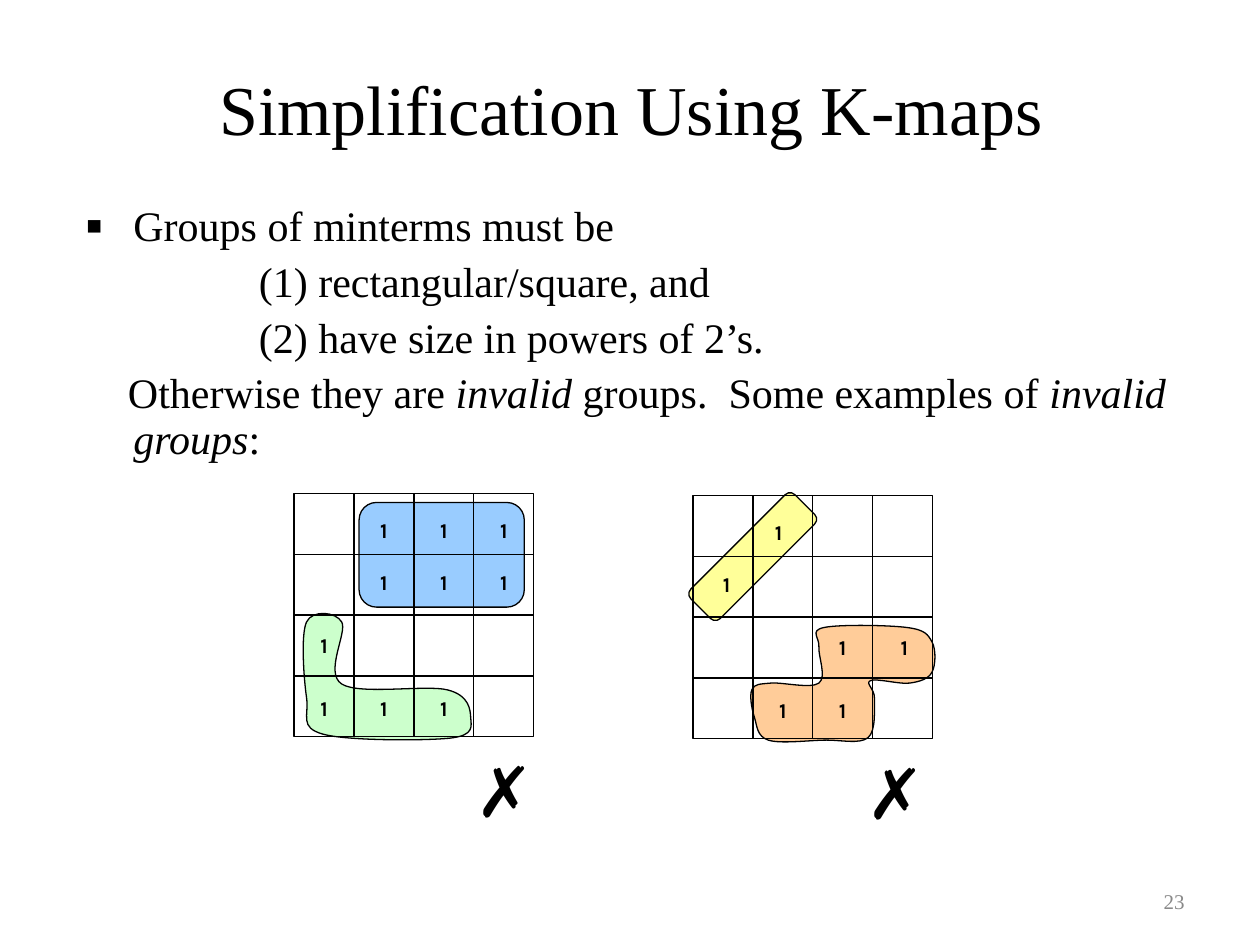
import dataclasses

import lxml.etree
import pptx
import pptx.dml.color
import pptx.enum.shapes
import pptx.enum.text
import pptx.oxml.ns
import pptx.util

Cm, Pt = pptx.util.Cm, pptx.util.Pt
RGB = pptx.dml.color.RGBColor.from_string
qn = pptx.oxml.ns.qn
ALIGN, ANCHOR = pptx.enum.text.PP_ALIGN, pptx.enum.text.MSO_ANCHOR
KINDS = pptx.enum.shapes.MSO_SHAPE


@dataclasses.dataclass(frozen=True)
class Theme:
    ink: str = "000000"
    muted: str = "898989"
    blue: str = "99CCFF"
    green: str = "CCFFCC"
    yellow: str = "FFFF99"
    orange: str = "FFCC99"
    serif: str = "Times New Roman"
    digit: str = "Karla"
    symbol: str = "Arial"
    title_size: float = 40
    body_size: float = 24
    small_size: float = 12
    outline: float = 0.75


THEME = Theme()

# K-map geometry in cm, relative to the top left corner of a map
MAP_WIDTH, MAP_HEIGHT, CELLS = 4.83, 4.9, 4
COLUMN, ROW = MAP_WIDTH / CELLS, MAP_HEIGHT / CELLS
DIGIT_TOPS = (0.35, 1.41, 2.68, 3.95)

# Anchor points of the curved groups
L_GROUP = [(3.15, 4.93), (0.58, 4.85), (0.25, 4.11), (0.25, 2.59),
           (0.96, 2.59), (0.96, 3.84), (3.1, 3.96), (3.56, 4.52)]
Z_GROUP = [(4.32, 2.66), (2.64, 2.66), (2.54, 3.05), (2.54, 3.78),
           (1.57, 3.78), (1.19, 3.91), (1.24, 4.47), (1.52, 4.93),
           (2.64, 4.93), (3.53, 4.88), (3.66, 4.09), (3.58, 3.73),
           (4.37, 3.78), (4.82, 3.56), (4.82, 2.95)]


def set_all(target, values):
    for name, value in values.items():
        setattr(target, name, value)


def add_text(slide, box, anchor=ANCHOR.TOP):
    frame = slide.shapes.add_textbox(*map(Cm, box)).text_frame
    set_all(frame, {"word_wrap": True, "vertical_anchor": anchor})
    return frame


def add_run(paragraph, text, size, face=THEME.serif, color=THEME.ink, **style):
    run = paragraph.add_run()
    run.text = text
    set_all(run.font, {"size": Pt(size), "name": face, **style})
    run.font.color.rgb = RGB(color)


def add_label(slide, box, text, size, align, anchor=ANCHOR.TOP, **style):
    paragraph = add_text(slide, box, anchor).paragraphs[0]
    paragraph.alignment = align
    add_run(paragraph, text, size, **style)


def set_indent(paragraph, margin, first, bullet=None):
    properties = paragraph._p.get_or_add_pPr()
    properties.set("marL", str(Cm(margin)))
    properties.set("indent", str(Cm(first)))
    if bullet:
        for tag, key, value in (("a:buSzPct", "val", "120000"),
                                ("a:buFont", "typeface", THEME.serif),
                                ("a:buChar", "char", bullet)):
            lxml.etree.SubElement(properties, qn(tag)).set(key, value)


def add_rules(slide):
    """Body text: margin, first-line indent, bullet, and (text, italic) runs."""
    rules = [
        (0.97, -0.97, "▪", [("Groups of minterms must be", False)]),
        (3.5, 0, None, [("(1) rectangular/square, and", False)]),
        (3.5, 0, None, [("(2) have size in powers of 2’s.", False)]),
        (0.97, -0.11, None, [("Otherwise they are ", False), ("invalid", True),
                             (" groups.  Some examples of ", False),
                             ("invalid groups", True), (":", False)]),
    ]
    frame = add_text(slide, (1.47, 4.01, 22.43, 5.92))
    for index, (margin, first, bullet, runs) in enumerate(rules):
        paragraph = frame.add_paragraph() if index else frame.paragraphs[0]
        set_indent(paragraph, margin, first, bullet)
        set_all(paragraph, {"line_spacing": 0.9,
                            "space_before": Pt(6 if index else 0)})
        for text, italic in runs:
            add_run(paragraph, text, THEME.body_size, italic=italic)


def finish(shape, fill=None):
    shape.shadow.inherit = False
    if fill:
        shape.fill.solid()
        shape.fill.fore_color.rgb = RGB(fill)
    else:
        shape.fill.background()
    shape.line.color.rgb = RGB(THEME.ink)
    shape.line.width = Pt(THEME.outline)


def add_box(slide, kind, box, fill=None, rotation=0):
    shape = slide.shapes.add_shape(kind, *map(Cm, box))
    shape.rotation = rotation
    finish(shape, fill)


def smooth_loop(anchors):
    """Two Bezier handles and an end point for each side of a closed curve."""
    points = []
    for i, start in enumerate(anchors):
        before, end, after = (anchors[(i + k) % len(anchors)] for k in (-1, 1, 2))
        points.append(tuple(s + (e - b) / 6 for b, s, e in zip(before, start, end)))
        points.append(tuple(e - (a - s) / 6 for s, e, a in zip(start, end, after)))
        points.append(end)
    return points


def add_curved_group(slide, left, top, anchors, fill):
    start, *points = [(Cm(left + x), Cm(top + y))
                      for x, y in anchors[:1] + smooth_loop(anchors)]
    outline = slide.shapes.build_freeform(*start)
    outline.add_line_segments(points, close=True)
    shape = outline.convert_to_shape()
    # Turn every three straight segments into one Bezier curve
    segments = list(shape._element.iter(qn("a:lnTo")))
    for first, second, third in zip(*[iter(segments)] * 3):
        first.tag = qn("a:cubicBezTo")
        for segment in (second, third):
            first.append(segment[0])
            segment.getparent().remove(segment)
    finish(shape, fill)


def add_line(slide, *ends):
    line = slide.shapes.add_connector(
        pptx.enum.shapes.MSO_CONNECTOR.STRAIGHT, *map(Cm, ends))
    line.line.color.rgb = RGB(THEME.ink)
    line.line.width = Pt(THEME.outline)
    lxml.etree.SubElement(line._element.spPr, qn("a:effectLst"))


def add_kmap(slide, left, top, minterms, cross_left):
    """Grid, a 1 at each (column, row), and the cross below."""
    add_box(slide, KINDS.RECTANGLE, (left, top, MAP_WIDTH, MAP_HEIGHT))
    for i in range(1, CELLS):
        x, y = left + i * COLUMN, top + i * ROW
        add_line(slide, left, y, left + MAP_WIDTH, y)
        add_line(slide, x, top, x, top + MAP_HEIGHT)
    for column, row in minterms:
        add_label(slide, (left + column * COLUMN, top + DIGIT_TOPS[row], COLUMN, 0.95),
                  "1", THEME.small_size, ALIGN.CENTER, face=THEME.digit, bold=True)
    add_label(slide, (left + cross_left, top + 5, 1.47, 1.96), "✗",
              THEME.title_size, ALIGN.LEFT, face=THEME.symbol)


def main():
    deck = pptx.Presentation()
    set_all(deck, {"slide_width": Cm(25.4), "slide_height": Cm(19.05)})
    slide = deck.slides.add_slide(deck.slide_layouts[6])

    # Title, rules and page number
    add_label(slide, (1.9, 0.64, 21.64, 3.07), "Simplification Using K-maps",
              THEME.title_size, ALIGN.CENTER, ANCHOR.MIDDLE)
    add_rules(slide)
    add_label(slide, (18.21, 17.65, 5.92, 1.02), "23", THEME.small_size,
              ALIGN.RIGHT, ANCHOR.MIDDLE, color=THEME.muted)

    # Left map: six cells and an L
    left, top = 5.93, 9.95
    add_curved_group(slide, left, top, L_GROUP, THEME.green)
    add_box(slide, KINDS.ROUNDED_RECTANGLE, (left + 1.31, top + 0.18, 3.33, 2.11),
            THEME.blue)
    six_cells = [(column, row) for row in (0, 1) for column in (1, 2, 3)]
    add_kmap(slide, left, top, six_cells + [(0, 2), (0, 3), (1, 3), (2, 3)], 3.4)

    # Right map: a diagonal and a Z
    left, top = 13.97, 9.99
    add_curved_group(slide, left, top, Z_GROUP, THEME.orange)
    add_box(slide, KINDS.ROUNDED_RECTANGLE, (left - 0.28, top + 0.81, 2.97, 0.84),
            THEME.yellow, rotation=315)
    diagonal = [(0.93, 0), (0.06, 1)]
    add_kmap(slide, left, top, diagonal + [(2, 2), (3.03, 2), (1, 3), (2, 3)], 3.25)

    deck.save("out.pptx")


if __name__ == "__main__":
    main()
